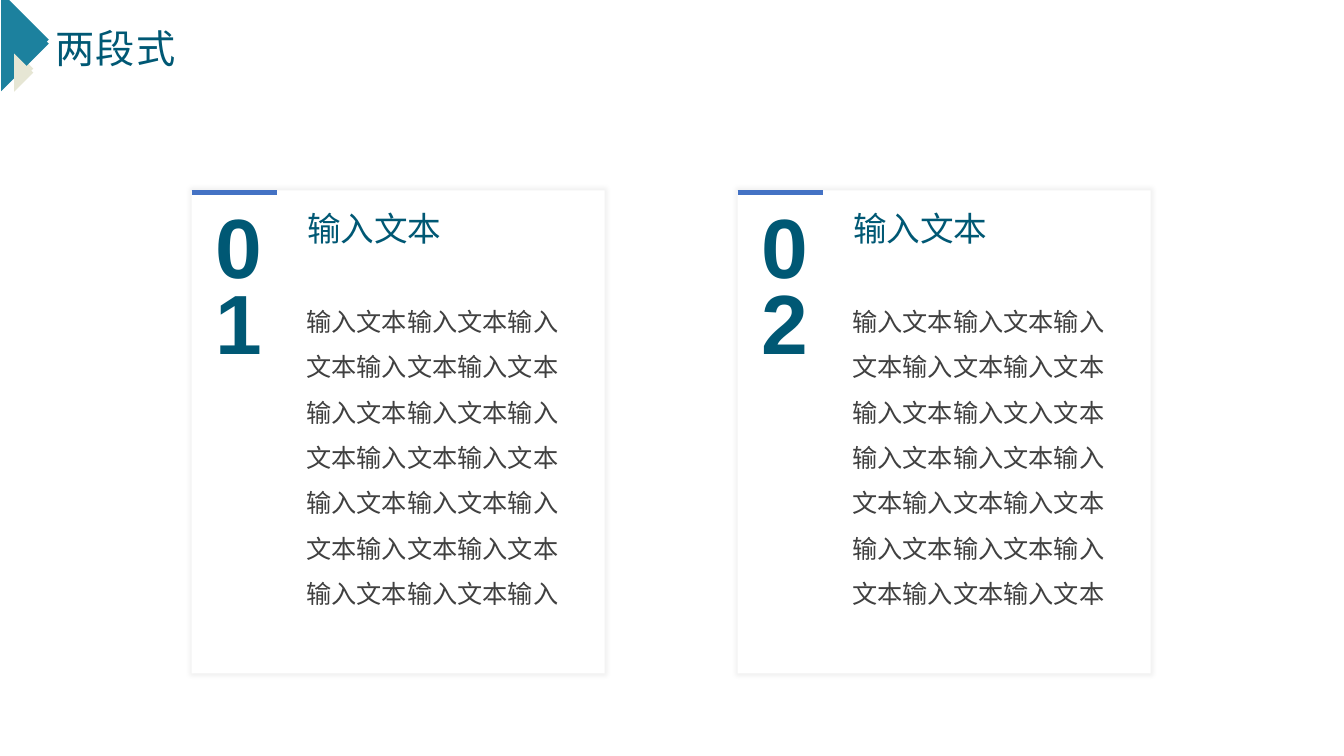
from lxml.etree import SubElement
from pptx import Presentation
from pptx.dml.color import RGBColor
from pptx.enum.shapes import MSO_CONNECTOR, MSO_SHAPE
from pptx.enum.text import MSO_ANCHOR
from pptx.oxml import parse_xml
from pptx.oxml.ns import nsdecls, qn
from pptx.util import Cm, Pt

COLORS = {
    "heading": "005874",
    "body": "404040",
    "accent": "4472C4",
    "card": "FFFFFF",
    "teal": "1C819E",
    "cream": "E6E6D4",
}
CJK_FONT = "Noto Sans CJK SC"
CARD_TOP, CARD_WIDTH, CARD_HEIGHT = 4.8, 10.41, 12.17
UNIT = "输入文本"
CARDS = [
    (4.83, "01", UNIT * 17 + "输入"),
    (18.59, "02", UNIT * 6 + "输入文入文本" + UNIT * 10),
]
CARD_SHADOW = (
    f'<a:effectLst {nsdecls("a")}><a:outerShdw blurRad="38100" sx="101000" '
    'sy="101000" algn="ctr" rotWithShape="0"><a:srgbClr val="000000">'
    '<a:alpha val="5000"/></a:srgbClr></a:outerShdw></a:effectLst>'
)


def color(name):
    return RGBColor.from_string(COLORS[name])


def add_text(shapes, box, text, size, font, color_name, line_spacing):
    """Add a wrapping one-paragraph text box; box is left, top, width, height in cm."""
    shape = shapes.add_textbox(*[Cm(length) for length in box])
    shape.text_frame.word_wrap = True
    paragraph = shape.text_frame.paragraphs[0]
    paragraph.line_spacing = line_spacing
    run = paragraph.add_run()
    run.text = text
    run.font.size = Pt(size)
    run.font.name = font
    run.font.color.rgb = color(color_name)
    if font == CJK_FONT:
        SubElement(run.font._element, qn("a:ea"), typeface=font)
    return shape


presentation = Presentation()
presentation.slide_width = Cm(33.87)
presentation.slide_height = Cm(19.05)
slide = presentation.slides.add_slide(presentation.slide_layouts[6])

# Corner ornament: two layers, the second slightly lower
for layer_top in (-0.2, -0.1):
    ornament = slide.shapes.add_group_shape()
    for left, drop, width, color_name in ((0.03, 0, 1.2, "teal"), (0.36, 1.45, 0.48, "cream")):
        top = layer_top + drop
        builder = ornament.shapes.build_freeform(Cm(left), Cm(top))
        builder.add_line_segments(
            [(Cm(left + width), Cm(top + width)), (Cm(left), Cm(top + 2 * width))]
        )
        triangle = builder.convert_to_shape()
        triangle.shadow.inherit = False
        triangle.fill.solid()
        triangle.fill.fore_color.rgb = color(color_name)
        triangle.line.fill.background()

for left, number, body in CARDS:
    card = slide.shapes.add_group_shape().shapes
    panel = card.add_shape(
        MSO_SHAPE.RECTANGLE, Cm(left), Cm(CARD_TOP), Cm(CARD_WIDTH), Cm(CARD_HEIGHT)
    )
    panel.fill.solid()
    panel.fill.fore_color.rgb = color("card")
    panel.line.fill.background()
    panel._element.spPr.append(parse_xml(CARD_SHADOW))

    accent = card.add_connector(
        MSO_CONNECTOR.STRAIGHT, Cm(left), Cm(4.85), Cm(left + 2.14), Cm(4.85)
    )
    accent.line.color.rgb = color("accent")
    accent.line.width = Pt(3)
    SubElement(accent._element.spPr, qn("a:effectLst"))

    number_box = add_text(
        card, (left + 0.35, 5.38, 2.31, 2.36), number, 60, "Arial", "heading", 0.75
    )
    number_box.text_frame.paragraphs[0].runs[0].font.bold = True
    add_text(card, (left + 2.66, 5.31, 7.77, 1.85), UNIT, 24, CJK_FONT, "heading", 0.8)
    add_text(card, (left + 2.64, 7.21, 7.33, 8.41), body, 18, "Arial", "body", 1.5)

title = add_text(
    slide.shapes, (1.14, 0.36, 20.22, 1.45), "两段式", 28, CJK_FONT, "heading", 0.9
)
title.text_frame.vertical_anchor = MSO_ANCHOR.BOTTOM
title.text_frame.margin_bottom = 0
title.text_frame.paragraphs[0].runs[0].font._element.set("spc", "100")

presentation.save("out.pptx")
